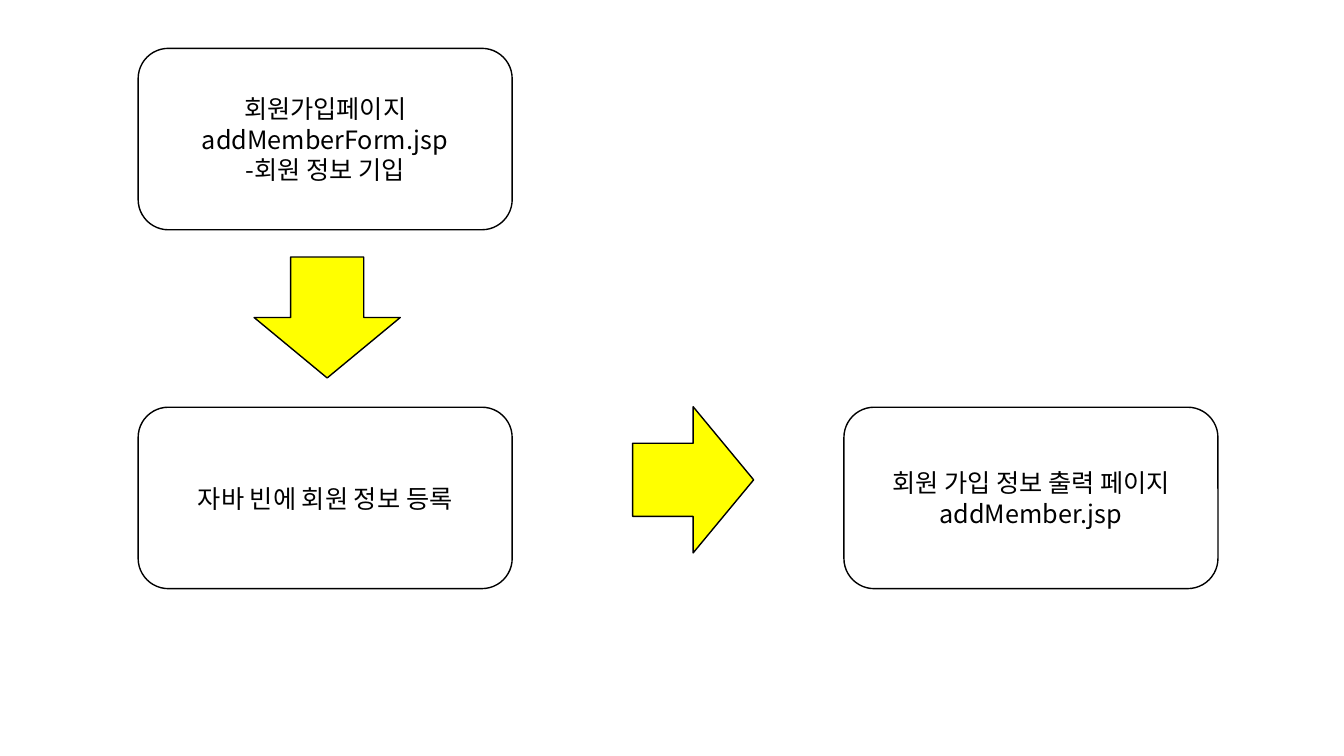
from pptx import Presentation
from pptx import util as u
from pptx.dml.color import RGBColor
from pptx.enum import shapes, text
from pptx.oxml.ns import qn
from lxml import etree

FONT = "Noto Sans CJK KR"
LEFT, TOP = 1.37, 0.48
COLUMN_PITCH, ROW_PITCH = 7.0, 3.56
BOX_WIDTH, BOX_HEIGHT = 3.71, 1.8
ARROW_WIDTH, ARROW_LENGTH = 1.45, 1.2

STEPS = [
    (0, 0, "회원가입페이지\naddMemberForm.jsp\n-회원 정보 기입"),
    (0, 1, "자바 빈에 회원 정보 등록"),
    (1, 1, "회원 가입 정보 출력 페이지\naddMember.jsp"),
]
ARROWS = [(2.52, 2.55, 0), (6.15, 4.16, 270)]


def color(value):
    return RGBColor.from_string(value)


def add_outlined(slide, kind, box):
    shape = slide.shapes.add_shape(kind, *[u.Inches(length) for length in box])
    shape.shadow.inherit = False
    shape.line.color.rgb = color("000000")
    shape.line.width = u.Pt(1)
    return shape


def add_step(slide, box, label):
    shape = add_outlined(slide, shapes.MSO_SHAPE.ROUNDED_RECTANGLE, box)
    shape.fill.background()
    frame = shape.text_frame
    frame.word_wrap = True
    frame.vertical_anchor = text.MSO_ANCHOR.MIDDLE
    frame.text = label
    for paragraph in frame.paragraphs:
        paragraph.alignment = text.PP_ALIGN.CENTER
        for run in paragraph.runs:
            run.font.size = u.Pt(18)
            run.font.name = FONT
            run.font.color.rgb = color("000000")
            east_asian = etree.SubElement(run.font._element, qn("a:ea"))
            east_asian.set("typeface", FONT)


def add_arrow(slide, box, rotation):
    shape = add_outlined(slide, shapes.MSO_SHAPE.DOWN_ARROW, box)
    shape.fill.solid()
    shape.fill.fore_color.rgb = color("FFFF00")
    shape.rotation = rotation


def add_flow_slide(presentation):
    slide = presentation.slides.add_slide(presentation.slide_layouts[6])
    for column, row, label in STEPS:
        left = LEFT + column * COLUMN_PITCH
        top = TOP + row * ROW_PITCH
        add_step(slide, (left, top, BOX_WIDTH, BOX_HEIGHT), label)
    for left, top, rotation in ARROWS:
        add_arrow(slide, (left, top, ARROW_WIDTH, ARROW_LENGTH), rotation)


def main():
    presentation = Presentation()
    presentation.slide_width = u.Inches(13.33)
    presentation.slide_height = u.Inches(7.5)
    add_flow_slide(presentation)
    presentation.save("out.pptx")


if __name__ == "__main__":
    main()
